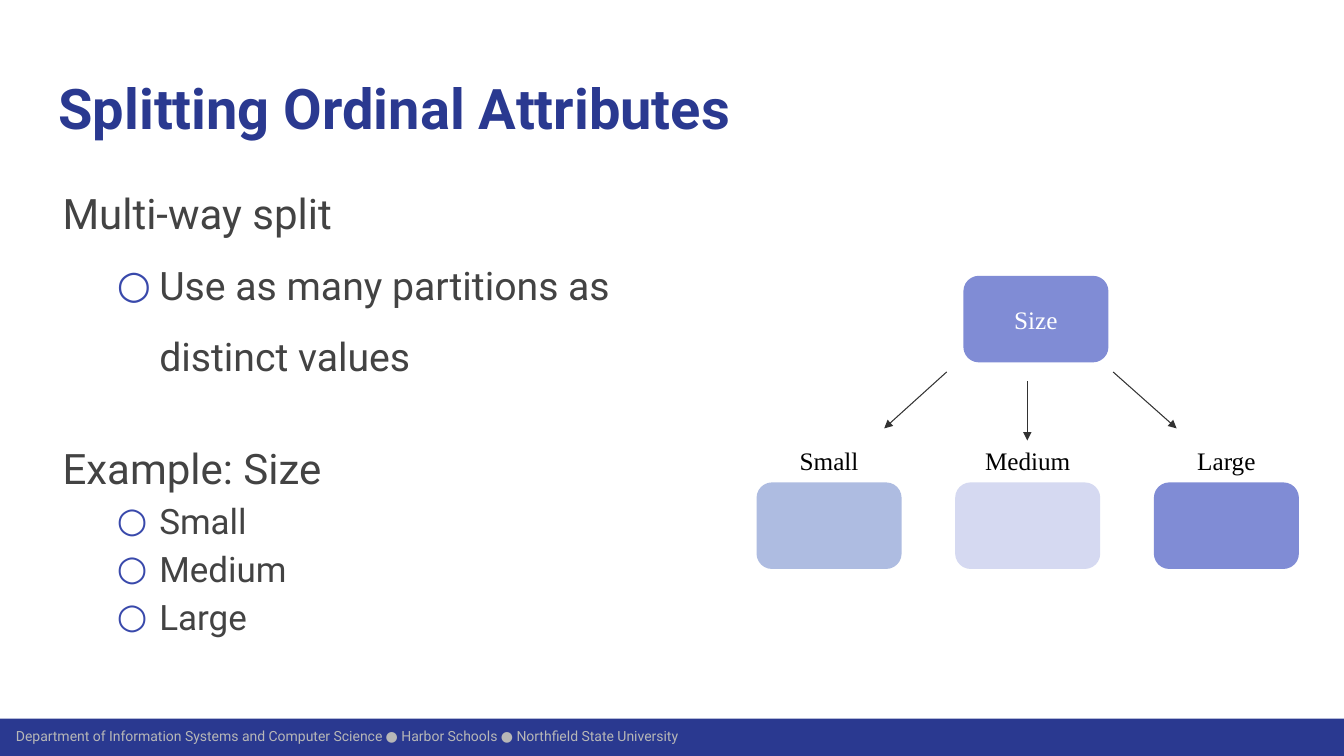
"""Build a slide on splitting ordinal attributes, with places in percent of the slide's size."""
from dataclasses import dataclass
from typing import NamedTuple

from lxml.etree import SubElement
from pptx import Presentation
from pptx.dml.color import RGBColor
from pptx.enum.shapes import MSO_CONNECTOR as CONN, MSO_SHAPE as SHAPE
from pptx.enum.text import MSO_ANCHOR as ANCHOR, MSO_AUTO_SIZE as FIT, PP_ALIGN as ALIGN
from pptx.oxml.ns import qn
from pptx.util import Emu, Inches, Pt


@dataclass(frozen=True)
class Theme:
    navy: str = "2A3990"
    bullet: str = "3949AB"
    body: str = "434343"
    footer: str = "B7B7B7"
    periwinkle: str = "808CD5"
    steel: str = "AEBCE1"
    lavender: str = "D5D9F1"
    arrow: str = "323232"
    white: str = "FFFFFF"
    black: str = "000000"
    sans: str = "Roboto"
    serif: str = "Times New Roman"
    title_pt: int = 40
    head_pt: int = 30
    point_pt: int = 28
    item_pt: int = 25
    node_pt: int = 18
    footer_pt: int = 10


class Area(NamedTuple):
    x: float
    y: float
    w: float
    h: float


class Line(NamedTuple):
    text: str
    size: int
    spacing: float
    bulleted: bool = False
    before: int = 0


class Leaf(NamedTuple):
    label: str
    fill: str
    start: tuple[float, float]
    end: tuple[float, float]


T = Theme()
WIDTH, HEIGHT = Inches(13.33), Inches(7.5)
NODE_W, NODE_H = 10.58, 11.07
LABEL_W, LABEL_H = 13.13, 5.33
LEAF_X, LEAF_Y, LEAF_STEP, LABEL_Y = 56.4, 64, 14.78, 58.27
ROOT = Area(71.79, 36.67, NODE_W, NODE_H)
FOOTER = ("Department of Information Systems and Computer Science ● Harbor Schools "
          "● Northfield State University")

LINES = [
    Line("Multi-way split", T.head_pt, 1.5),
    Line("Use as many partitions as distinct values", T.point_pt, 1.5, True),
    Line("Example: Size", T.head_pt, 1.15, before=40),
    *(Line(size, T.item_pt, 1.15, True) for size in ("Small", "Medium", "Large")),
]
LEAVES = [
    Leaf("Small", T.steel, (70.44, 49.2), (65.79, 56.67)),
    Leaf("Medium", T.lavender, (76.44, 50.4), (76.44, 58.27)),
    Leaf("Large", T.periwinkle, (82.82, 49.2), (87.55, 56.67)),
]


def across(share: float) -> Emu:
    return Emu(round(WIDTH * share / 100))


def down(share: float) -> Emu:
    return Emu(round(HEIGHT * share / 100))


def rect(area: Area) -> tuple[Emu, Emu, Emu, Emu]:
    return across(area.x), down(area.y), across(area.w), down(area.h)


def rgb(color: str) -> RGBColor:
    return RGBColor.from_string(color)


def style(p, size: int, color: str, face: str, bold: bool = False) -> None:
    for r in p.runs:
        r.font.size, r.font.name, r.font.bold = Pt(size), face, bold
        r.font.color.rgb = rgb(color)


def set_insets(tf, inches: float) -> None:
    tf.margin_left = tf.margin_right = tf.margin_top = tf.margin_bottom = Inches(inches)


def place(sp, area: Area):
    sp.left, sp.top, sp.width, sp.height = rect(area)
    tf = sp.text_frame
    set_insets(tf, 0.13)
    tf.vertical_anchor, tf.auto_size, tf.word_wrap = ANCHOR.TOP, FIT.NONE, True
    return tf


def add_box(slide, kind: SHAPE, area: Area, fill: str):
    sp = slide.shapes.add_shape(kind, *rect(area))
    sp.shadow.inherit = False
    sp.fill.solid()
    sp.fill.fore_color.rgb = sp.line.color.rgb = rgb(fill)
    sp.line.width = Pt(2)
    return sp


def add_label(slide, area: Area, text: str, size: int, color: str, face: str, align: ALIGN):
    tf = slide.shapes.add_textbox(*rect(area)).text_frame
    tf.word_wrap = True
    tf.text = text
    tf.paragraphs[0].alignment = align
    style(tf.paragraphs[0], size, color, face)
    return tf


def add_arrow(slide, start: tuple[float, float], end: tuple[float, float]) -> None:
    (x1, y1), (x2, y2) = start, end
    cn = slide.shapes.add_connector(CONN.STRAIGHT, across(x1), down(y1), across(x2), down(y2))
    cn.line.color.rgb, cn.line.width = rgb(T.arrow), Pt(0.75)
    SubElement(cn.line._get_or_add_ln(), qn("a:tailEnd"), type="triangle")
    SubElement(cn._element.spPr, qn("a:effectLst"))


def write_line(p, line: Line) -> None:
    p.text = line.text
    p.level, p.alignment = int(line.bulleted), ALIGN.LEFT
    p.line_spacing, p.space_before, p.space_after = line.spacing, Pt(line.before), Pt(0)
    style(p, line.size, T.body, T.sans)
    pPr = p._p.get_or_add_pPr()
    pPr.set("marL", str(Inches(1 if line.bulleted else 0.04)))
    pPr.set("indent", str(Inches(-0.42 if line.bulleted else 0)))
    if line.bulleted:
        SubElement(SubElement(pPr, qn("a:buClr")), qn("a:srgbClr"), val=T.bullet)
        SubElement(pPr, qn("a:buFont"), typeface=T.sans)
        SubElement(pPr, qn("a:buChar"), char="○")
    else:
        SubElement(pPr, qn("a:buNone"))


def add_footer(slide) -> None:
    bar = add_box(slide, SHAPE.RECTANGLE, Area(0, 95.07, 100, 4.93), T.navy)
    bar.line.fill.background()
    tf = add_label(slide, Area(0.45, 95.73, 75, 3.2), FOOTER,
                   T.footer_pt, T.footer, T.sans, ALIGN.LEFT)
    set_insets(tf, 0.1)
    tf.vertical_anchor = ANCHOR.MIDDLE


def add_text(slide) -> None:
    tf = place(slide.shapes.title, Area(3.38, 8, 93.17, 11.87))
    tf.text = "Splitting Ordinal Attributes"
    tf.paragraphs[0].alignment = ALIGN.LEFT
    style(tf.paragraphs[0], T.title_pt, T.navy, T.sans, True)
    tf = place(slide.placeholders[1], Area(3.38, 19.73, 47.26, 52.13))
    for i, line in enumerate(LINES):
        write_line(tf.add_paragraph() if i else tf.paragraphs[0], line)


def add_tree(slide) -> None:
    tf = add_box(slide, SHAPE.ROUNDED_RECTANGLE, ROOT, T.periwinkle).text_frame
    tf.text = "Size"
    tf.vertical_anchor, tf.paragraphs[0].alignment = ANCHOR.MIDDLE, ALIGN.CENTER
    style(tf.paragraphs[0], T.node_pt, T.white, T.serif)
    for i, leaf in enumerate(LEAVES):
        x = LEAF_X + i * LEAF_STEP
        add_box(slide, SHAPE.ROUNDED_RECTANGLE, Area(x, LEAF_Y, NODE_W, NODE_H), leaf.fill)
        add_arrow(slide, leaf.start, leaf.end)
        add_label(slide, Area(x + (NODE_W - LABEL_W) / 2, LABEL_Y, LABEL_W, LABEL_H),
                  leaf.label, T.node_pt, T.black, T.serif, ALIGN.CENTER)


def main() -> None:
    prs = Presentation()
    prs.slide_width, prs.slide_height = WIDTH, HEIGHT
    slide = prs.slides.add_slide(prs.slide_layouts[1])
    add_footer(slide)
    add_text(slide)
    add_tree(slide)
    prs.save("out.pptx")


if __name__ == "__main__":
    main()
